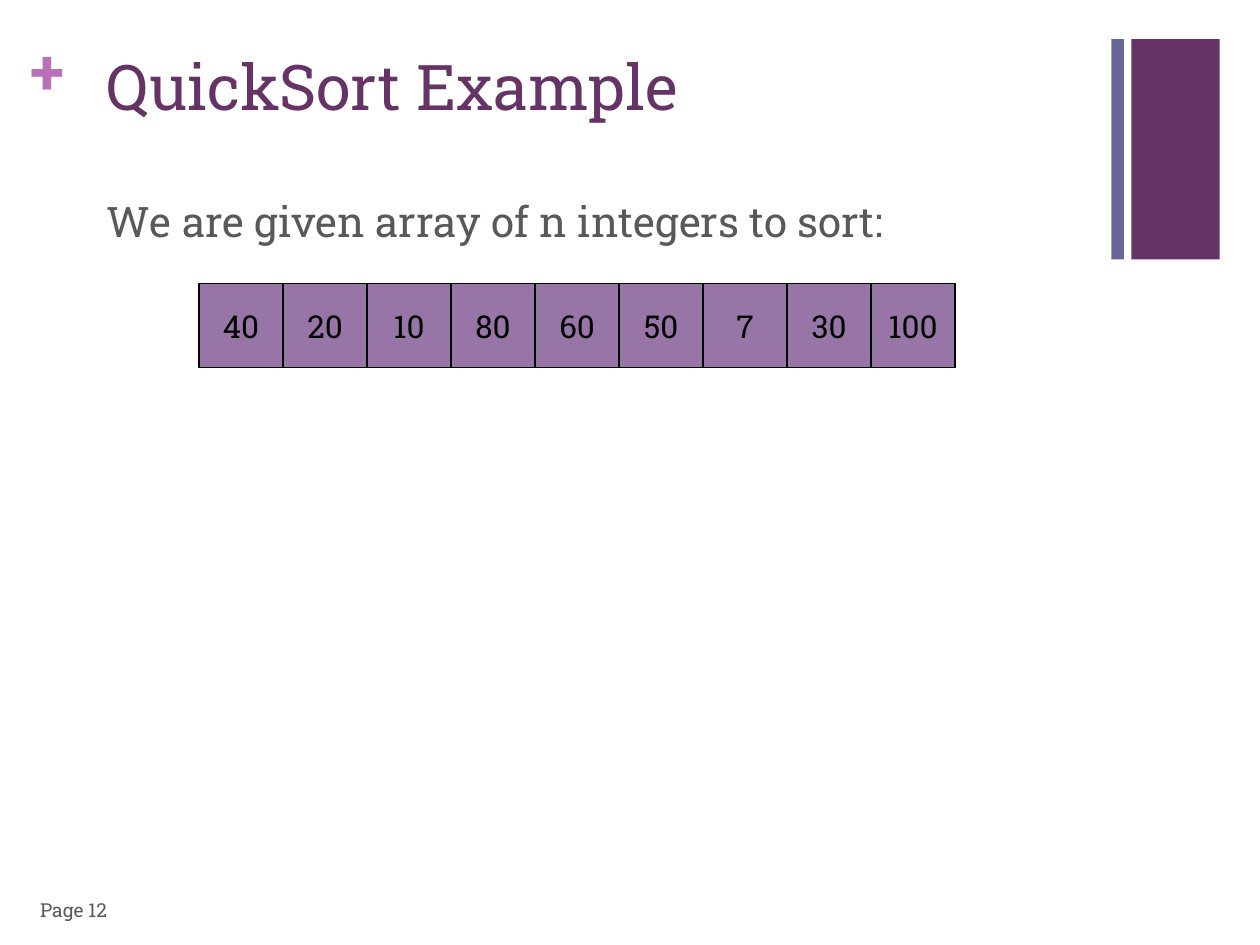
import pptx
import pptx.util
import pptx.dml.color
import pptx.enum.shapes
import pptx.enum.text
from dataclasses import dataclass

Inches = pptx.util.Inches
ANCHOR = pptx.enum.text.MSO_ANCHOR
ALIGN = pptx.enum.text.PP_ALIGN


@dataclass(frozen=True)
class Theme:
    font: str = "Roboto Slab"
    purple: str = "663366"
    slate: str = "666699"
    orchid: str = "B870B8"
    cell: str = "9775A7"
    grey: str = "595959"
    black: str = "000000"
    title_size: int = 36
    body_size: int = 24
    cell_size: int = 18
    page_size: int = 11


theme = Theme()
rgb = pptx.dml.color.RGBColor.from_string

prs = pptx.Presentation()
prs.slide_width, prs.slide_height = Inches(10), Inches(7.5)
s = prs.slides.add_slide(prs.slide_layouts[6])


def add_text(sp, text, size, color, bold=False, align=ALIGN.LEFT,
             anchor=ANCHOR.TOP, wrap=True):
    tf = sp.text_frame
    tf.word_wrap = wrap
    tf.vertical_anchor = anchor
    p = tf.paragraphs[0]
    p.alignment = align
    r = p.add_run()
    r.text = text
    r.font.name = theme.font
    r.font.size = pptx.util.Pt(size)
    r.font.bold = bold
    r.font.color.rgb = rgb(color)
    return tf


def add_rect(left, top, width, height, fill):
    sp = s.shapes.add_shape(pptx.enum.shapes.MSO_SHAPE.RECTANGLE,
                            Inches(left), Inches(top), Inches(width), Inches(height))
    sp.shadow.inherit = False
    sp.fill.solid()
    sp.fill.fore_color.rgb = rgb(fill)
    sp.line.fill.background()
    return sp


# Corner bars
add_rect(8.98, 0.31, 0.7, 1.75, theme.purple)
add_rect(8.82, 0.31, 0.1, 1.75, theme.slate)

# Plus sign
sp = s.shapes.add_textbox(Inches(0.24), Inches(0.25), Inches(0.29), Inches(0.61))
tf = add_text(sp, "+", theme.title_size, theme.orchid, bold=True, wrap=False)
tf.margin_left = tf.margin_right = tf.margin_top = tf.margin_bottom = 0

# Title
sp = s.shapes.add_textbox(Inches(0.75), Inches(0.33), Inches(8.5), Inches(0.82))
add_text(sp, "QuickSort Example", theme.title_size, theme.purple)

# Body
sp = s.shapes.add_textbox(Inches(0.75), Inches(1.5), Inches(8.5), Inches(4.5))
add_text(sp, "We are given array of n integers to sort:", theme.body_size, theme.grey)

# Array cells
cell = 2 / 3
for i, value in enumerate([40, 20, 10, 80, 60, 50, 7, 30, 100]):
    sp = add_rect(1.58 + i * cell, 2.25, cell, cell, theme.cell)
    sp.line.color.rgb = rgb(theme.black)
    sp.line.width = pptx.util.Pt(0.75)
    add_text(sp, str(value), theme.cell_size, theme.black,
             align=ALIGN.CENTER, anchor=ANCHOR.MIDDLE, wrap=False)

# Page number
sp = s.shapes.add_textbox(Inches(0.22), Inches(7.02), Inches(0.76), Inches(0.4))
add_text(sp, "Page 12", theme.page_size, theme.grey, anchor=ANCHOR.MIDDLE)

prs.save("out.pptx")
